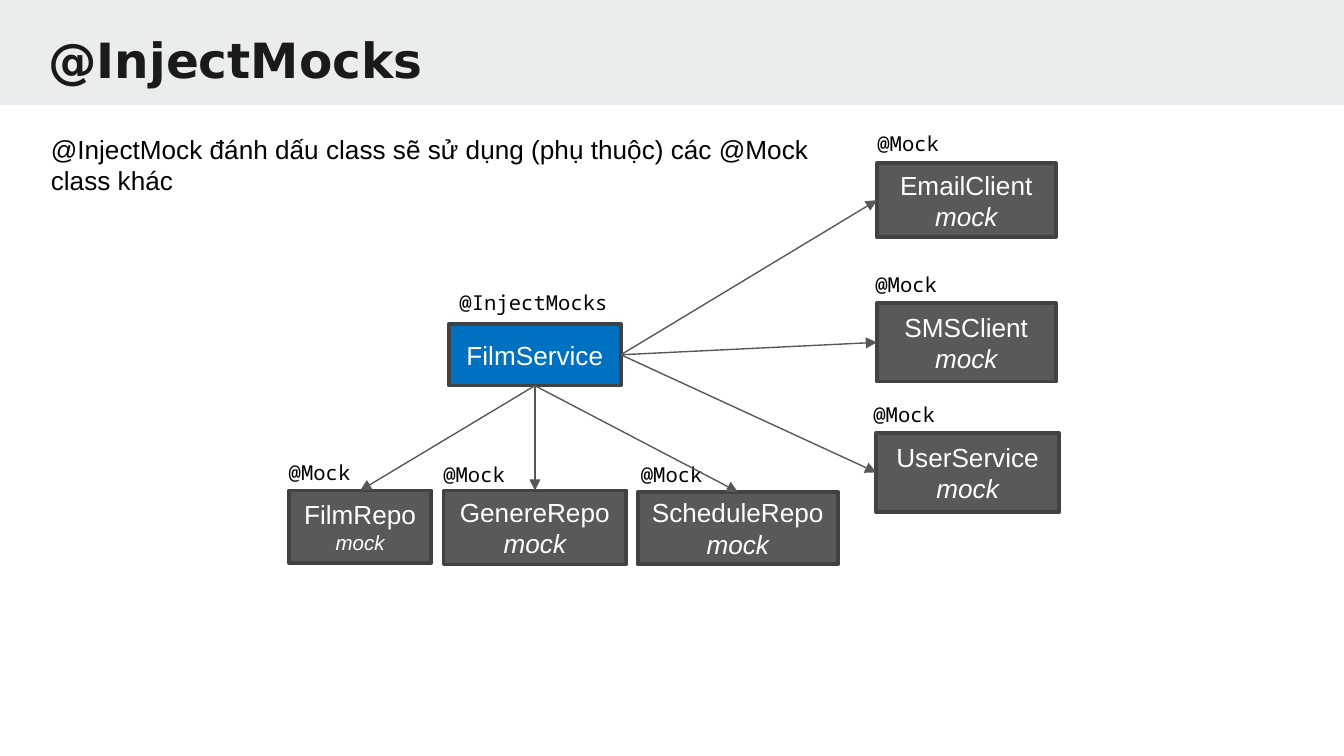
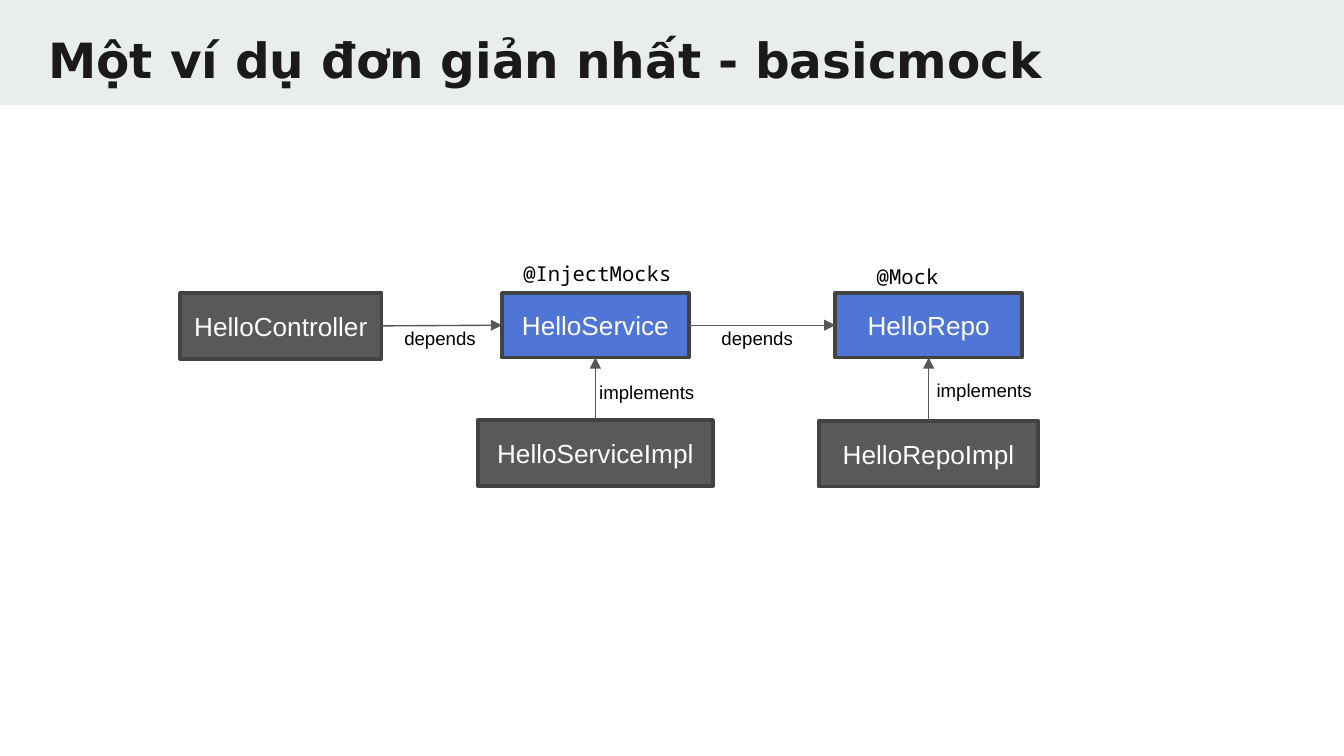
from dataclasses import dataclass

from lxml import etree
from pptx import Presentation
from pptx.dml.color import RGBColor
from pptx.enum.shapes import MSO_CONNECTOR, MSO_SHAPE
from pptx.enum.text import MSO_ANCHOR, MSO_AUTO_SIZE, PP_ALIGN
from pptx.oxml.ns import qn
from pptx.util import Inches, Pt

RECTANGLE = MSO_SHAPE.RECTANGLE
STRAIGHT = MSO_CONNECTOR.STRAIGHT
TOP_ANCHOR, MIDDLE = MSO_ANCHOR.TOP, MSO_ANCHOR.MIDDLE
NO_FIT, GROW = MSO_AUTO_SIZE.NONE, MSO_AUTO_SIZE.SHAPE_TO_FIT_TEXT
LEFT_ALIGN, CENTER = PP_ALIGN.LEFT, PP_ALIGN.CENTER

BAND = RGBColor(0xE9, 0xED, 0xEE)
INK = RGBColor(0x1A, 0x1A, 0x1A)
BLACK = RGBColor(0, 0, 0)
WHITE = RGBColor(0xFF, 0xFF, 0xFF)
GRAY = RGBColor(0x59, 0x59, 0x59)
OUTLINE = RGBColor(0x42, 0x42, 0x42)
ARROW = RGBColor(0x57, 0x57, 0x57)
SERVICE_BLUE = RGBColor(0x00, 0x70, 0xC0)
INTERFACE_BLUE = RGBColor(0x4F, 0x75, 0xD6)

SANS, MONO, TITLE_FONT = "Arial", "Noto Sans Mono", "DejaVu Sans"
WIDTH = Inches(10)
HEIGHT = WIDTH * 9 // 16
UNIT = WIDTH / 100  # one grid column, also one grid row
TOP, LEFT, BOTTOM, RIGHT = range(4)  # connection sites


@dataclass
class Region:
    """A part of the slide; its contents are placed in columns and rows."""
    col: float
    row: float

    def place(self, col, row, cols, rows):
        cells = (self.col + col, self.row + row, cols, rows)
        return [round(n * UNIT) for n in cells]


def add_run(paragraph, text, size, font, color, bold=False, italic=False):
    run = paragraph.add_run()
    run.text = text
    run.font.size, run.font.name = Pt(size), font
    run.font.bold, run.font.italic = bold, italic
    run.font.color.rgb = color


def add_text(slide, region, cells, lines, size, font=SANS):
    frame = slide.shapes.add_textbox(*region.place(*cells)).text_frame
    frame.word_wrap, frame.auto_size = False, GROW
    for index, line in enumerate(lines):
        paragraph = frame.add_paragraph() if index else frame.paragraphs[0]
        add_run(paragraph, line, size, font, BLACK)


def add_class(slide, region, cells, name, fill=GRAY, mock_size=None,
              same_paragraph=True, tag=None, tag_shift=(-1, -2.9)):
    """Class box, with an optional "mock" line and an annotation above it."""
    box = slide.shapes.add_shape(RECTANGLE, *region.place(*cells))
    box.shadow.inherit = False
    box.fill.solid()
    box.fill.fore_color.rgb = fill
    box.line.color.rgb, box.line.width = OUTLINE, Pt(2)
    frame = box.text_frame
    frame.word_wrap, frame.vertical_anchor = False, MIDDLE
    paragraph = frame.paragraphs[0]
    paragraph.alignment = CENTER
    add_run(paragraph, name, 14, SANS, WHITE)
    if mock_size:
        if same_paragraph:
            paragraph.add_line_break()
        else:
            paragraph = frame.add_paragraph()
            paragraph.alignment = CENTER
        add_run(paragraph, "mock", mock_size, SANS, WHITE, italic=True)
    if tag:
        tag_cols = 13.2 if tag == "@InjectMocks" else 6.7
        col, row = cells[0] + tag_shift[0], cells[1] + tag_shift[1]
        add_text(slide, region, (col, row, tag_cols, 2.9), [tag], 11, MONO)
    return box


def add_arrow(slide, source, source_side, target, target_side):
    arrow = slide.shapes.add_connector(STRAIGHT, 0, 0, 0, 0)
    arrow.begin_connect(source, source_side)
    arrow.end_connect(target, target_side)
    arrow.line.color.rgb, arrow.line.width = ARROW, Pt(0.75)
    properties = arrow.element.find(qn("p:spPr"))
    outline = properties.find(qn("a:ln"))
    etree.SubElement(outline, qn("a:tailEnd"), type="triangle")
    etree.SubElement(properties, qn("a:effectLst"))


def add_layout_band(slide):
    """Put the title band into the layout, behind everything else."""
    band = slide.shapes.add_shape(RECTANGLE, 0, 0, WIDTH, round(7.8 * UNIT))
    band.shadow.inherit = False
    band.fill.solid()
    band.fill.fore_color.rgb = BAND
    band.line.fill.background()
    slide.slide_layout.shapes.element.insert(2, band.element)


def add_titled_slide(deck, text):
    slide = deck.slides.add_slide(deck.slide_layouts[5])
    title = slide.shapes.title
    title.left, title.top, title.width, title.height = Region(0, 0).place(
        2.6, 1.2, 95.2, 5.9)
    frame = title.text_frame
    frame.auto_size, frame.vertical_anchor = NO_FIT, TOP_ANCHOR
    frame.margin_left = frame.margin_right = Inches(0.1)
    frame.margin_top = frame.margin_bottom = Inches(0.1)
    frame.paragraphs[0].alignment = LEFT_ALIGN
    add_run(frame.paragraphs[0], text, 26, TITLE_FONT, INK, bold=True)
    return slide


def add_film_diagram(slide, region):
    service = add_class(slide, region, (12.9, 14.8, 12.8, 4.6), "FilmService",
                        SERVICE_BLUE, tag="@InjectMocks", tag_shift=(-0.2, -3))
    # Repositories below the service
    repositories = [
        ("FilmRepo", (1, 27.2, 10.6, 5.4), 11, False, (-1, -2.8)),
        ("GenereRepo", (12.5, 27.2, 13.6, 5.5), 14, True, (-1, -2.6)),
        ("ScheduleRepo", (26.95, 27.3, 14.9, 5.4), 14, True, (-0.75, -2.7)),
    ]
    for name, cells, mock_size, same_paragraph, shift in repositories:
        repository = add_class(slide, region, cells, name, mock_size=mock_size,
                               same_paragraph=same_paragraph,
                               tag="@Mock", tag_shift=shift)
        add_arrow(slide, service, BOTTOM, repository, TOP)
    # Clients to the right of the service
    clients = [
        ("EmailClient", (44.75, 2.85, 13.3, 5.5), True, (-0.95, -2.9)),
        ("SMSClient", (44.75, 13.25, 13.3, 5.85), True, (-1.1, -2.8)),
        ("UserService", (44.7, 22.9, 13.6, 5.9), False, (-1.2, -2.8)),
    ]
    for name, cells, same_paragraph, shift in clients:
        client = add_class(slide, region, cells, name, mock_size=14,
                           same_paragraph=same_paragraph,
                           tag="@Mock", tag_shift=shift)
        add_arrow(slide, service, RIGHT, client, LEFT)


def add_hello_diagram(slide, region):
    controller = add_class(slide, region, (0, 2.9, 15, 4.9), "HelloController")
    service = add_class(slide, region, (23.95, 2.9, 13.9, 4.8), "HelloService",
                        INTERFACE_BLUE, tag="@InjectMocks",
                        tag_shift=(0.6, -2.9))
    repo = add_class(slide, region, (48.75, 2.9, 13.9, 4.8), "HelloRepo",
                     INTERFACE_BLUE, tag="@Mock", tag_shift=(2.1, -2.65))
    service_impl = add_class(slide, region, (22.15, 12.35, 17.5, 4.9),
                             "HelloServiceImpl")
    repo_impl = add_class(slide, region, (47.55, 12.4, 16.3, 4.9),
                          "HelloRepoImpl")
    # Relations between the classes
    add_arrow(slide, controller, RIGHT, service, LEFT)
    add_arrow(slide, service, RIGHT, repo, LEFT)
    add_arrow(slide, service_impl, TOP, service, BOTTOM)
    add_arrow(slide, repo_impl, TOP, repo, BOTTOM)
    relations = [("depends", 15.7, 4.95, 7.3), ("depends", 39.3, 4.95, 7.3),
                 ("implements", 30.2, 8.95, 9.2), ("implements", 55.3, 8.8, 9.2)]
    for relation, col, row, cols in relations:
        add_text(slide, region, (col, row, cols, 2.7), [relation], 10)


def main():
    deck = Presentation()
    deck.slide_width, deck.slide_height = WIDTH, HEIGHT

    # Injected mocks
    inject_slide = add_titled_slide(deck, "@InjectMocks")
    add_layout_band(inject_slide)
    add_film_diagram(inject_slide, Region(20.5, 9.3))
    add_text(inject_slide, Region(2.8, 9.4), (0, 0, 58.7, 5.7),
             ["@InjectMock đánh dấu class sẽ sử dụng (phụ thuộc) các @Mock",
              "class khác"], 14)

    # Simple example
    example_slide = add_titled_slide(deck, "Một ví dụ đơn giản nhất - basicmock")
    add_hello_diagram(example_slide, Region(13.4, 18.9))

    deck.save("out.pptx")


if __name__ == "__main__":
    main()
